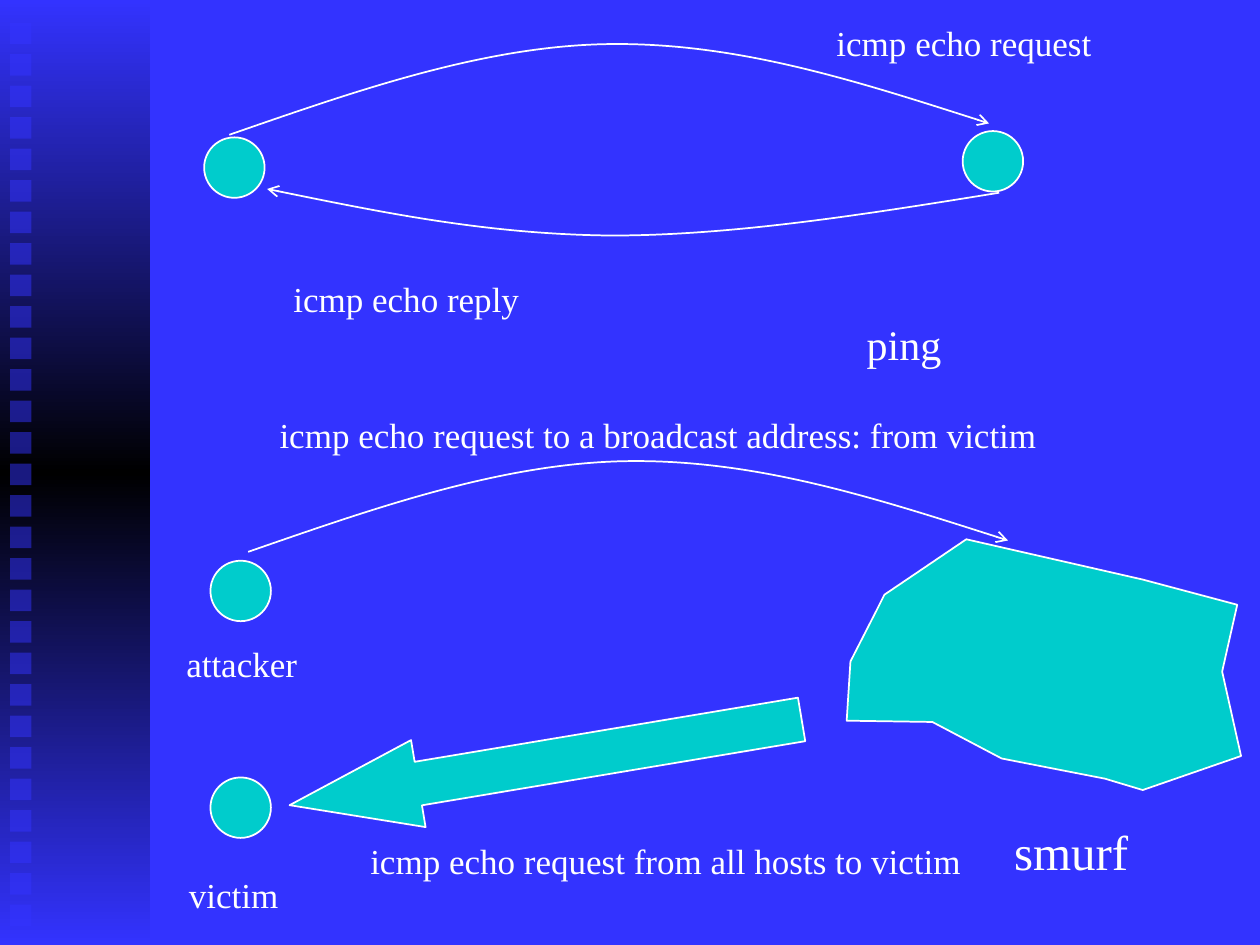
from copy import deepcopy

from lxml import etree
from pptx import Presentation
from pptx.dml.color import RGBColor
from pptx.enum import shapes, text
from pptx.oxml.ns import qn
from pptx.util import Inches, Pt

COLORS = {"blue": "3333FF", "black": "000000", "teal": "00CCCC", "white": "FFFFFF"}
FONT = "Times New Roman"
NODE_SIZE = 0.48

NODES = [(1.62, 1.09), (7.64, 1.04), (1.67, 4.45), (1.67, 6.17)]
REQUEST_CURVE = [(1.82, 1.07), (2.83, 0.72), (3.85, 0.36), (4.85, 0.35),
                 (5.86, 0.34), (6.85, 0.66), (7.85, 0.98)]
REPLY_CURVE = [(7.93, 1.53), (6.88, 1.7), (5.82, 1.87), (4.85, 1.87),
               (3.88, 1.86), (3, 1.68), (2.12, 1.5)]
BROADCAST_CURVE = [(x + 0.15, y + 3.31) for x, y in REQUEST_CURVE]
NETWORK_OUTLINE = [(7.02, 4.72), (7.67, 4.28), (9.07, 4.6), (9.82, 4.8), (9.7, 5.33),
                   (9.85, 6), (9.07, 6.27), (8.77, 6.18), (7.95, 6.02), (7.4, 5.73),
                   (6.72, 5.72), (6.75, 5.25), (6.97, 4.82)]
# wording, left, top, width, height, text size
LABELS = [
    ("icmp echo request", 6.54, 0.12, 2.25, 0.44, 20),
    ("icmp echo reply", 2.23, 2.15, 1.99, 0.44, 20),
    ("ping", 6.78, 2.48, 2.5, 0.5, 24),
    ("icmp echo request to a broadcast address: from victim", 2.12, 3.23, 6.21, 0.44, 20),
    ("attacker", 1.38, 5.05, 1.08, 0.44, 20),
    ("victim", 1.4, 6.88, 0.91, 0.44, 20),
    ("icmp echo request from all hosts to victim", 2.84, 6.61, 4.89, 0.44, 20),
    ("smurf", 7.95, 6.47, 1.57, 0.57, 28),
]


def rgb(name):
    return RGBColor.from_string(COLORS[name])


def style(shape, fill=None, line=None):
    shape.shadow.inherit = False
    if fill:
        shape.fill.solid()
        shape.fill.fore_color.rgb = rgb(fill)
    else:
        shape.fill.background()
    if line:
        shape.line.color.rgb = rgb(line)
        shape.line.width = Pt(1)
    else:
        shape.line.fill.background()


def add_preset(slide, kind, left, top, width, height, fill, line=None):
    shape = slide.shapes.add_shape(kind, Inches(left), Inches(top),
                                   Inches(width), Inches(height))
    style(shape, fill, line)
    return shape


def add_outline(slide, points, close, fill=None):
    start, *rest = [(Inches(x), Inches(y)) for x, y in points]
    builder = slide.shapes.build_freeform(*start)
    builder.add_line_segments(rest, close=close)
    shape = builder.convert_to_shape()
    style(shape, fill, "white")
    return shape


def add_curved_arrow(slide, points):
    """Draw cubic curves through points: a start, then triples of two controls and an end."""
    arrow = add_outline(slide, points, close=False)
    segments = list(arrow._element.spPr.iter(qn("a:lnTo")))
    for first in range(0, len(segments), 3):
        curve = etree.Element(qn("a:cubicBezTo"))
        segments[first].addprevious(curve)
        for segment in segments[first:first + 3]:
            curve.append(segment[0])
            segment.getparent().remove(segment)
    etree.SubElement(arrow.line._get_or_add_ln(), qn("a:tailEnd"), type="arrow")


def add_label(slide, wording, left, top, width, height, size):
    box = slide.shapes.add_textbox(Inches(left), Inches(top), Inches(width), Inches(height))
    frame = box.text_frame
    frame.word_wrap = size > 20
    frame.auto_size = text.MSO_AUTO_SIZE.SHAPE_TO_FIT_TEXT
    run = frame.paragraphs[0].add_run()
    run.text = wording
    run.font.name = FONT
    run.font.size = Pt(size)
    run.font.color.rgb = rgb("white")


def add_side_band(slide):
    rectangle = shapes.MSO_SHAPE.RECTANGLE
    band = add_preset(slide, rectangle, 0, 0, 1.19, 7.5, "blue")
    band.fill.gradient()
    band.fill.gradient_angle = 90
    first_stop = next(band._element.spPr.iter(qn("a:gs")))
    first_stop.addnext(deepcopy(first_stop))
    stops = zip(band.fill.gradient_stops, (0, 0.5, 1), ("blue", "black", "blue"))
    for stop, position, color in stops:
        stop.position = position
        stop.color.rgb = rgb(color)
    for row in range(29):
        square = add_preset(slide, rectangle, 0.08, 0.18 + 0.25 * row, 0.17, 0.17, "blue")
        color = next(square._element.spPr.iter(qn("a:srgbClr")))
        etree.SubElement(color, qn("a:alpha"), val="50000")


def main():
    deck = Presentation()
    deck.slide_width, deck.slide_height = Inches(10), Inches(7.5)
    slide = deck.slides.add_slide(deck.slide_layouts[6])
    slide.background.fill.solid()
    slide.background.fill.fore_color.rgb = rgb("blue")

    add_side_band(slide)
    for left, top in NODES:
        add_preset(slide, shapes.MSO_SHAPE.OVAL, left, top, NODE_SIZE, NODE_SIZE,
                   "teal", "white")
    for curve in (REQUEST_CURVE, REPLY_CURVE, BROADCAST_CURVE):
        add_curved_arrow(slide, curve)
    add_outline(slide, NETWORK_OUTLINE, close=True, fill="teal")
    flood = add_preset(slide, shapes.MSO_SHAPE.LEFT_ARROW, 2.27, 5.7, 4.12, 0.7,
                       "teal", "white")
    flood.adjustments[0] = 0.5
    flood.adjustments[1] = 1.48
    flood.rotation = 350.5
    for label in LABELS:
        add_label(slide, *label)

    deck.save("out.pptx")


if __name__ == "__main__":
    main()
